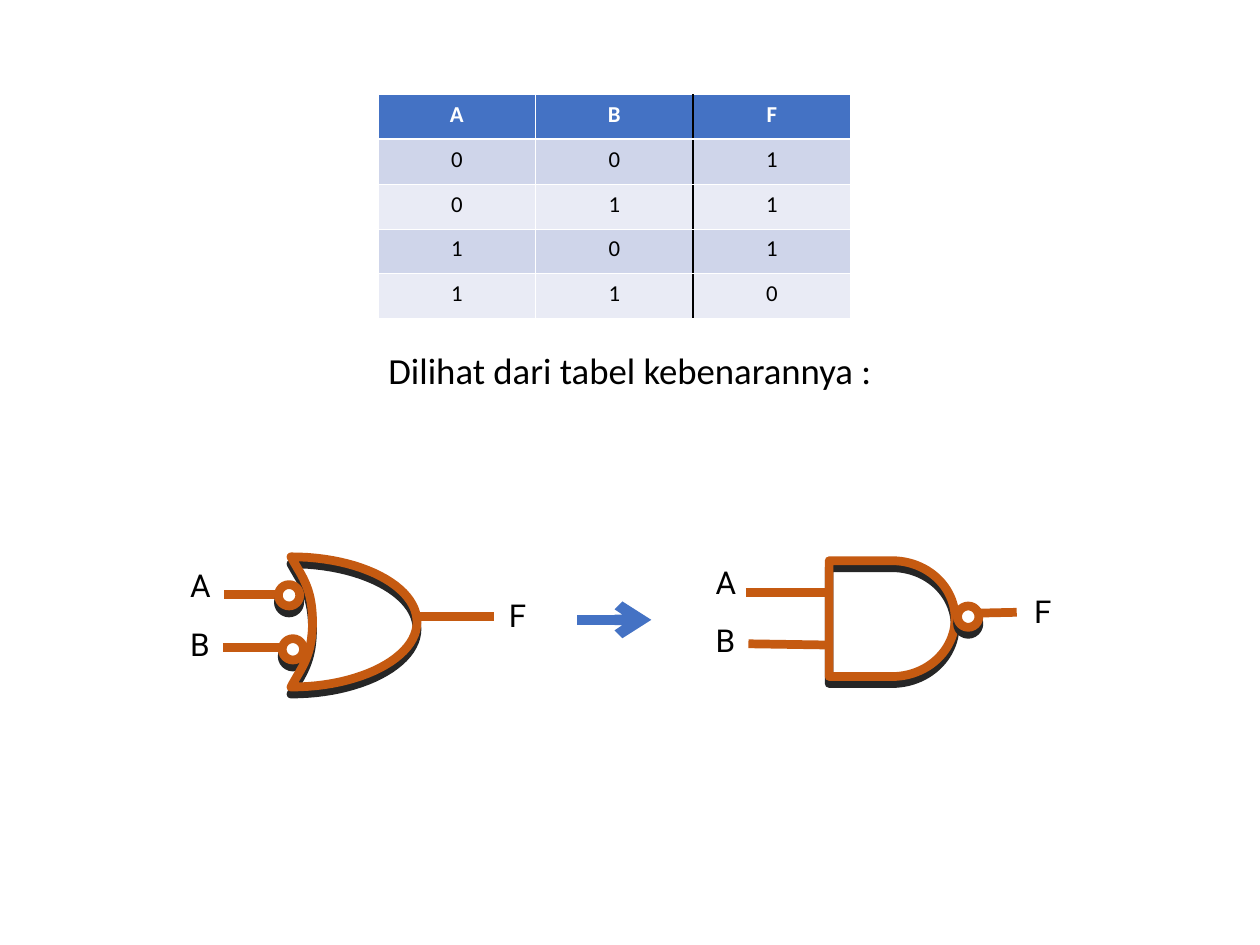
from dataclasses import dataclass
from lxml.etree import SubElement
from pptx import Presentation
from pptx.dml.color import RGBColor
from pptx.enum.shapes import MSO_CONNECTOR, MSO_SHAPE
from pptx.enum.text import MSO_AUTO_SIZE, PP_ALIGN
from pptx.oxml import parse_xml
from pptx.oxml.ns import nsdecls, qn
from pptx.util import Pt


@dataclass
class Theme:
    white: str = "FFFFFF"
    black: str = "000000"
    blue: str = "4472C4"
    orange: str = "C55A11"
    shadow: str = "262626"
    bands: tuple = ("E9EBF5", "CFD5EA")
    font: str = "Calibri"
    label_font: str = "Roboto"
    caption: int = 21
    label: int = 18
    cell: int = 13


theme = Theme()


def add_wire(shapes, ends, color, width):
    s = shapes.add_connector(MSO_CONNECTOR.STRAIGHT, *[Pt(v) for v in ends])
    s.line.color.rgb = RGBColor.from_string(color)
    s.line.width = Pt(width)
    SubElement(s._element.spPr, qn("a:effectLst"))
    return s


def style_gate(s, filled):
    if filled:
        s.fill.solid()
        s.fill.fore_color.rgb = RGBColor.from_string(theme.white)
    else:
        s.fill.background()
    s.line.color.rgb = RGBColor.from_string(theme.orange)
    s.line.width = Pt(5)
    s.shadow.inherit = False
    s._element.spPr.find(qn("a:effectLst")).append(parse_xml(
        f'<a:outerShdw {nsdecls("a")} blurRad="0" dist="{Pt(4)}" dir="5400000" '
        f'algn="ctr" rotWithShape="0"><a:srgbClr val="{theme.shadow}"/></a:outerShdw>'))


prs = Presentation()
prs.slide_width, prs.slide_height = Pt(720), Pt(540)
slide = prs.slides.add_slide(prs.slide_layouts[6])

caption = slide.shapes.add_textbox(Pt(36), Pt(198), Pt(648), Pt(291.6))
tf = caption.text_frame
tf.word_wrap = True
tf.text = "Dilihat dari tabel kebenarannya :"
p = tf.paragraphs[0]
p.alignment = PP_ALIGN.CENTER
p.line_spacing = 0.9
r = p.runs[0]
r.font.name, r.font.size = theme.font, Pt(theme.caption)
r.font.color.rgb = RGBColor.from_string(theme.black)

truth_rows = ["ABF", "001", "011", "101", "110"]
table = slide.shapes.add_table(5, 3, Pt(216), Pt(54), Pt(270), Pt(128)).table
for column in table.columns:
    column.width = Pt(90)
for i, values in enumerate(truth_rows):
    table.rows[i].height = Pt(25.6)
    for j, value in enumerate(values):
        cell = table.cell(i, j)
        cell.text = value
        p = cell.text_frame.paragraphs[0]
        p.alignment = PP_ALIGN.CENTER
        r = p.runs[0]
        r.font.name, r.font.size, r.font.bold = theme.font, Pt(theme.cell), i == 0
        r.font.color.rgb = RGBColor.from_string(theme.black if i else theme.white)
        cell.fill.solid()
        cell.fill.fore_color.rgb = RGBColor.from_string(theme.bands[i % 2] if i else theme.blue)
        strong = {"L": j == 2, "R": j == 1, "T": i == 1, "B": i == 0}
        for k, side in enumerate("LRTB"):
            color = theme.black if side in "LR" and strong[side] else theme.white
            width = Pt(1.47 if strong[side] else 0.45)
            cell._tc.get_or_add_tcPr().insert(k, parse_xml(
                f'<a:ln{side} {nsdecls("a")} w="{width}"><a:solidFill>'
                f'<a:srgbClr val="{color}"/></a:solidFill></a:ln{side}>'))

arrow = add_wire(slide.shapes, (329.8, 354.2, 372.2, 354.2), theme.blue, 6)
SubElement(arrow.line._get_or_add_ln(), qn("a:tailEnd"), type="arrow")

or_gate = slide.shapes.add_group_shape().shapes
and_gate = slide.shapes.add_group_shape().shapes

or_wires = [(282.2, 352.1, 239, 352.1), (128.2, 339.8, 175.7, 339.8), (127.4, 370.1, 174.2, 370.1)]
and_wires = [(581, 349.9, 547.9, 350.6), (426.2, 338.4, 473.8, 338.4), (427.7, 367.9, 473.8, 368.6)]

for ends in or_wires:
    add_wire(or_gate, ends, theme.orange, 5)
s = or_gate.add_shape(MSO_SHAPE.OVAL, Pt(161.3), Pt(365), Pt(12.2), Pt(12.2))
style_gate(s, True)

curves = [
    [(166.3, 392.6), (172.1, 381.6), (178.6, 375.1), (178.6, 355.5)],
    [(178.6, 355.5), (178.6, 335.5), (172.1, 329), (166.3, 318.2)],
    [(166.3, 318.2), (205.9, 318.2), (238.3, 334.8), (238.3, 355.5)],
    [(238.3, 355.5), (238.3, 375.8), (205.9, 392.6), (166.3, 392.6)],
]
points = []
for curve in curves:
    for step in range(1, 25):
        t = step / 24
        weights = ((1 - t) ** 3, 3 * t * (1 - t) ** 2, 3 * t * t * (1 - t), t ** 3)
        points.append(tuple(Pt(sum(w * c for w, c in zip(weights, axis))) for axis in zip(*curve)))
builder = or_gate.build_freeform(*points[-1])
builder.add_line_segments(points[:-1], close=True)
style_gate(builder.convert_to_shape(), False)

s = or_gate.add_shape(MSO_SHAPE.OVAL, Pt(159.1), Pt(334.1), Pt(12.2), Pt(12.2))
style_gate(s, True)

s = and_gate.add_shape(MSO_SHAPE.FLOWCHART_DELAY, Pt(473.8), Pt(320.4), Pt(72), Pt(66.2))
style_gate(s, False)
for ends in and_wires:
    add_wire(and_gate, ends, theme.orange, 5)
s = and_gate.add_shape(MSO_SHAPE.OVAL, Pt(547.2), Pt(346.3), Pt(12.2), Pt(12.2))
style_gate(s, True)

labels = [
    (or_gate, "A", 101.5, 319.7), (or_gate, "B", 101.5, 353.5), (or_gate, "F", 283.7, 337),
    (and_gate, "A", 401.8, 318.2), (and_gate, "B", 401.8, 351.4), (and_gate, "F", 583.9, 334.8),
]
for shapes, name, left, top in labels:
    tf = shapes.add_textbox(Pt(left), Pt(top), Pt(25.6), Pt(28.8)).text_frame
    tf.word_wrap = False
    tf.auto_size = MSO_AUTO_SIZE.SHAPE_TO_FIT_TEXT
    tf.text = name
    r = tf.paragraphs[0].runs[0]
    r.font.name, r.font.size = theme.label_font, Pt(theme.label)
    r.font.color.rgb = RGBColor.from_string(theme.black)

prs.save("out.pptx")
